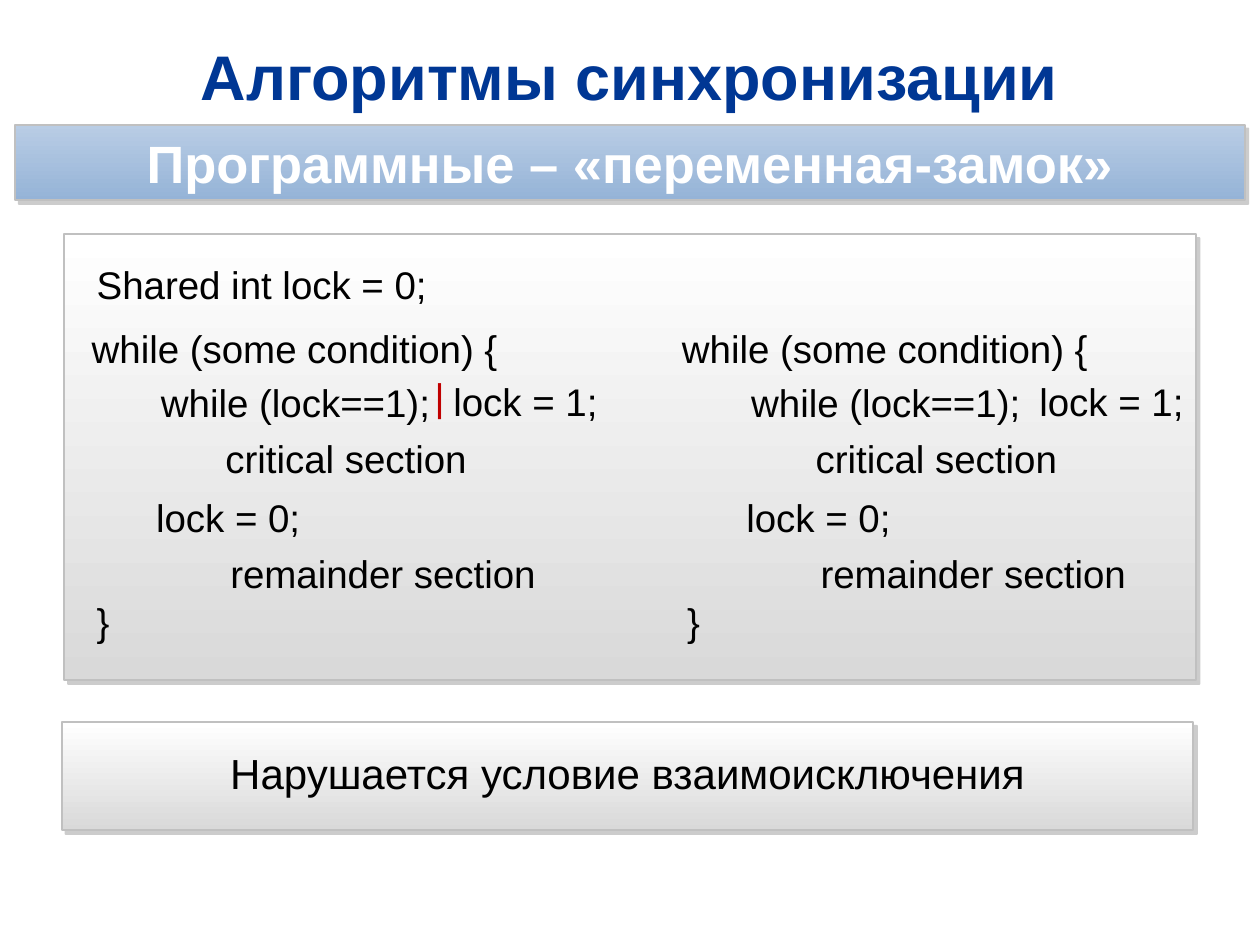
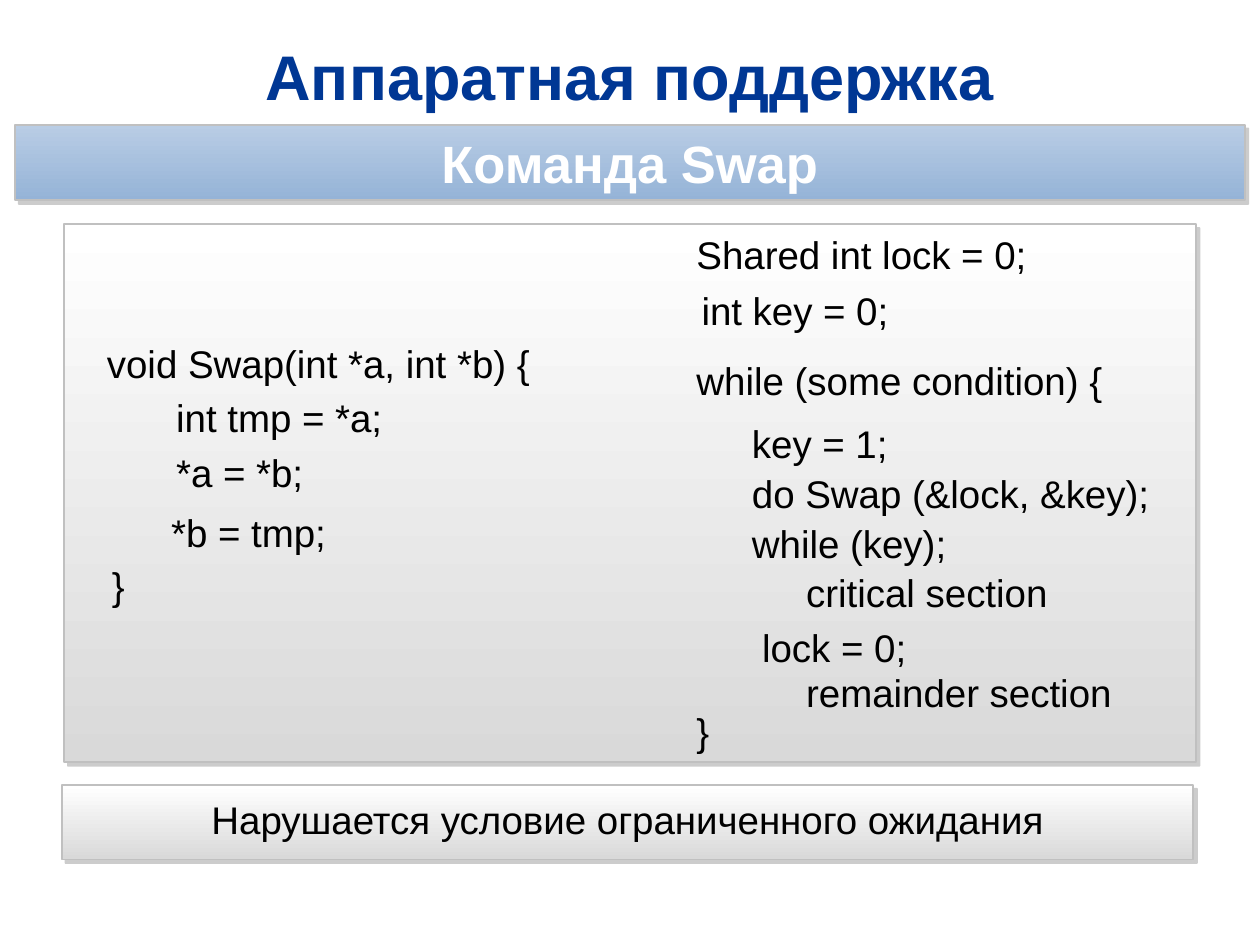
from dataclasses import dataclass

from lxml.etree import SubElement
from pptx import Presentation
from pptx.dml.color import RGBColor
from pptx.enum.shapes import MSO_SHAPE
from pptx.enum.text import MSO_ANCHOR, MSO_AUTO_SIZE, PP_ALIGN
from pptx.oxml.ns import qn
from pptx.util import Pt


@dataclass(frozen=True)
class Theme:
    font: str = "Arial"
    title: str = "003794"
    text: str = "000000"
    light: str = "FFFFFF"
    alert: str = "C00000"
    border: str = "C0C0C0"
    shadow: str = "808080"
    band_fill: tuple = ("B9CDE5", "95B3D7")
    panel_fill: tuple = ("FFFFFF", "D9D9D9")
    title_size: int = 36
    band_size: int = 30
    note_size: int = 24
    code_size: int = 22


THEME = Theme()

# Boxes are left, top, width, height in points
SLIDE_SIZE = (720, 540)
TITLE_BOX = (25.2, 18.7, 669, 49)
BAND_BOX = (8.6, 71.3, 702.7, 43.2)
PANEL_LEFT, NOTE_LEFT, PANEL_WIDTH = 36.7, 35.3, 646.6
LINE_WIDTH, LINE_HEIGHT = 289.4, 33.8
COLUMN_SHIFT = 337.3

# Code lines are text, left, top, width; places are relative to the panel
LOCK_LOOP = [
    ("while (some condition) {", 8.6, 48.2, LINE_WIDTH),
    ("while (lock==1);", 48.2, 79.2, 178.6),
    ("critical section", 85, 110.9, 175.7),
    ("lock = 0;", 45.4, 144.7, 136),
    ("remainder section", 87.8, 177.1, 212.4),
    ("}", 11.5, 204.5, LINE_WIDTH),
]
LOCK_SETUP = [
    ("Shared int lock = 0;", 11.5, 11.5, LINE_WIDTH),
    ("lock = 1;", 215.3, 78.5, 141.8),
    ("lock = 1;", 550.1, 78.5, 113.8),
]
SWITCH_MARK = [("|", 204.5, 75.6, 42.5)]
SWAP_FUNCTION = [
    ("void Swap(int *a, int *b) {", 17.3, 62.6, LINE_WIDTH),
    ("int tmp = *a;", 56.9, 93.6, 170),
    ("*a = *b;", 56.9, 124.6, 175.7),
    ("*b = tmp;", 54, 159.1, 136),
    ("}", 20.2, 189.4, LINE_WIDTH),
]
SWAP_LOOP = [
    ("Shared int lock = 0;", 354.2, 0, LINE_WIDTH),
    ("int key = 0;", 357.1, 32.4, LINE_WIDTH),
    ("while (some condition) {", 354.2, 72, LINE_WIDTH),
    ("key = 1;", 385.9, 108, LINE_WIDTH),
    ("do Swap (&lock, &key);", 385.9, 136.8, LINE_WIDTH),
    ("while (key);", 385.9, 165.6, LINE_WIDTH),
    ("critical section", 416.9, 193.7, 175.7),
    ("lock = 0;", 391.7, 224.6, 136),
    ("remainder section", 416.9, 250.6, 212.4),
    ("}", 354.2, 272.9, LINE_WIDTH),
]


def in_points(box):
    return [Pt(length) for length in box]


def write(shape, text, size, color, bold=False, align=PP_ALIGN.LEFT):
    frame = shape.text_frame
    frame.text = text
    frame.word_wrap = True
    paragraph = frame.paragraphs[0]
    paragraph.alignment = align
    font = paragraph.runs[0].font
    font.name, font.size, font.bold = THEME.font, Pt(size), bold
    font.color.rgb = RGBColor.from_string(color)


def add_drop_shadow(shape):
    shape.shadow.inherit = False
    effects = shape._element.spPr.find(qn("a:effectLst"))
    shadow = SubElement(effects, qn("a:outerShdw"), blurRad="0", dist=str(Pt(3)),
                        dir="2700000", algn="tl", rotWithShape="0")
    color = SubElement(shadow, qn("a:srgbClr"), val=THEME.shadow)
    SubElement(color, qn("a:alpha"), val="40000")


def add_gradient_box(slide, box, colors):
    shape = slide.shapes.add_shape(MSO_SHAPE.RECTANGLE, *in_points(box))
    shape.fill.gradient()
    shape.fill.gradient_angle = 270
    for stop, color in zip(shape.fill.gradient_stops, colors):
        stop.color.rgb = RGBColor.from_string(color)
    shape.line.color.rgb = RGBColor.from_string(THEME.border)
    shape.line.width = Pt(1)
    add_drop_shadow(shape)
    return shape


def add_header(slide, title_text, band_text):
    # Title
    title = slide.shapes.title
    title.left, title.top, title.width, title.height = in_points(TITLE_BOX)
    write(title, title_text, THEME.title_size, THEME.title, True, PP_ALIGN.CENTER)
    title.text_frame.auto_size = MSO_AUTO_SIZE.NONE
    title.text_frame.vertical_anchor = MSO_ANCHOR.MIDDLE

    # Subtitle band
    band = add_gradient_box(slide, BAND_BOX, THEME.band_fill)
    write(band, band_text, THEME.band_size, THEME.light, True, PP_ALIGN.CENTER)
    frame = band.text_frame
    frame.vertical_anchor = MSO_ANCHOR.MIDDLE
    frame.margin_left = frame.margin_right = Pt(17.3)
    frame.margin_top = frame.margin_bottom = Pt(2.9)


def add_code(slide, box, lines, shift=0, color=THEME.text):
    for text, left, top, width in lines:
        line_box = (box[0] + left + shift, box[1] + top, width, LINE_HEIGHT)
        line = slide.shapes.add_textbox(*in_points(line_box))
        write(line, text, THEME.code_size, color)


def add_note(slide, box, text, size, side_gap, top_gap):
    left, top, width, height = box
    add_gradient_box(slide, box, THEME.panel_fill)
    label_box = (left + side_gap, top + top_gap, width - 2 * side_gap, size * 1.5)
    label = slide.shapes.add_textbox(*in_points(label_box))
    write(label, text, size, THEME.text, align=PP_ALIGN.CENTER)


def add_slide(presentation, title, band):
    slide = presentation.slides.add_slide(presentation.slide_layouts[5])
    add_header(slide, title, band)
    return slide


def add_lock_slide(presentation):
    slide = add_slide(presentation, "Алгоритмы синхронизации",
                      "Программные – «переменная-замок»")
    # Two processes side by side
    panel = (PANEL_LEFT, 133.9, PANEL_WIDTH, 254.9)
    add_gradient_box(slide, panel, THEME.panel_fill)
    add_code(slide, panel, LOCK_SETUP)
    for column in range(2):
        add_code(slide, panel, LOCK_LOOP, column * COLUMN_SHIFT)
    add_code(slide, panel, SWITCH_MARK, color=THEME.alert)
    # Conclusion
    add_note(slide, (NOTE_LEFT, 412.6, PANEL_WIDTH, 61.9),
             "Нарушается условие взаимоисключения", THEME.note_size, 80.6, 10.8)


def add_swap_slide(presentation):
    slide = add_slide(presentation, "Аппаратная поддержка", "Команда Swap")
    # Function on the left, its use on the right
    panel = (PANEL_LEFT, 128.2, PANEL_WIDTH, 307.4)
    add_gradient_box(slide, panel, THEME.panel_fill)
    add_code(slide, panel, SWAP_FUNCTION)
    add_code(slide, panel, SWAP_LOOP)
    # Conclusion
    add_note(slide, (NOTE_LEFT, 448.6, PANEL_WIDTH, 42.5),
             "Нарушается условие ограниченного ожидания", THEME.code_size, 7.2, 2.9)


def main():
    presentation = Presentation()
    presentation.slide_width, presentation.slide_height = in_points(SLIDE_SIZE)
    add_lock_slide(presentation)
    add_swap_slide(presentation)
    presentation.save("out.pptx")


if __name__ == "__main__":
    main()
